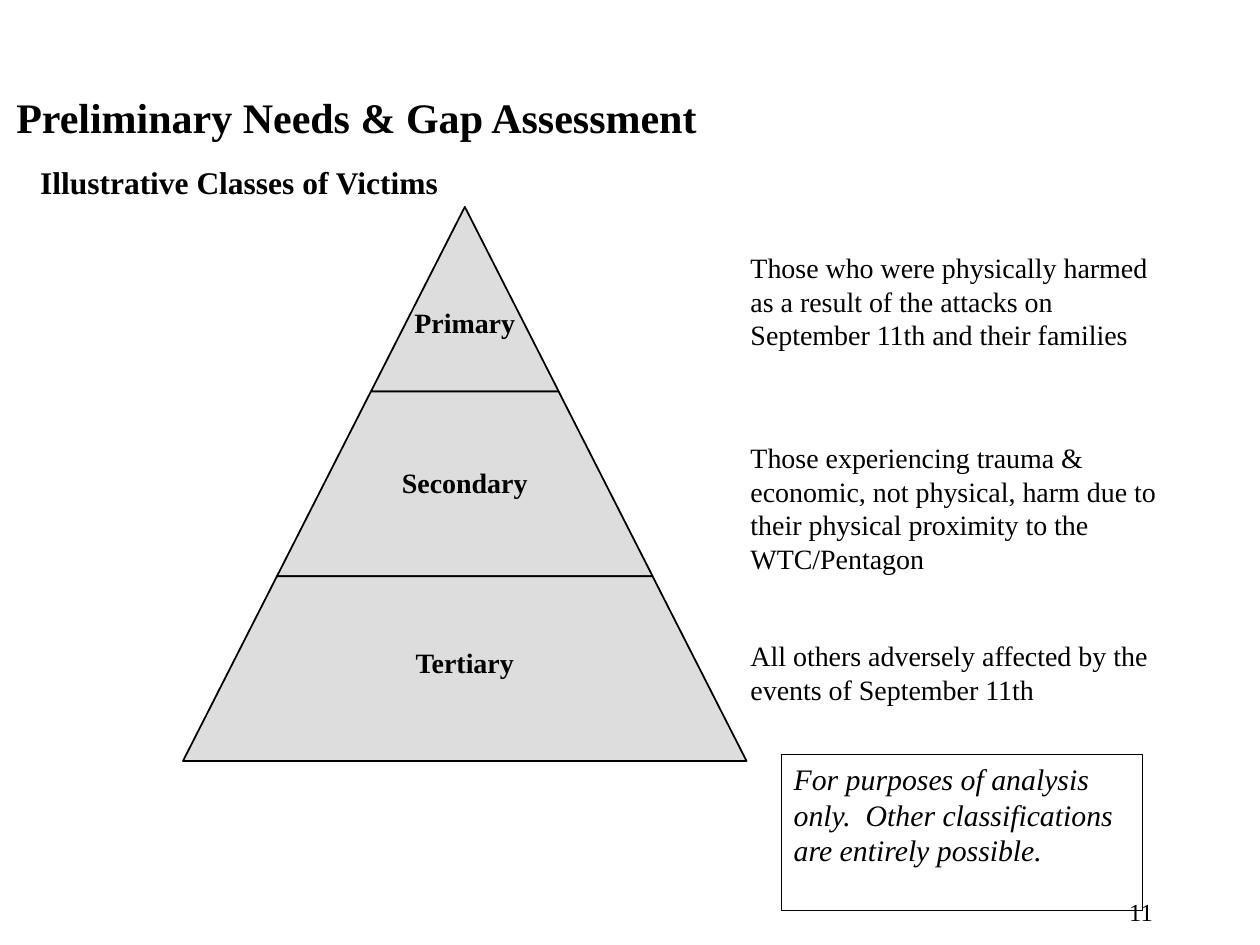
from pptx import Presentation
from pptx.dml.color import RGBColor
from pptx.enum import shapes, text
from pptx.util import Cm, Pt

ALIGN = text.PP_ALIGN
ANCHOR = text.MSO_ANCHOR


def colour(hex_code):
    return RGBColor.from_string(hex_code)


class Canvas:
    """Holds the style and the slide being drawn."""
    font = "Times New Roman"
    ink = "000000"
    tier_fill = "DDDDDD"

    def __init__(self, slide):
        self.slide = slide

    def outline(self, shape, width):
        shape.line.color.rgb = colour(self.ink)
        shape.line.width = Pt(width)
        shape.shadow.inherit = False

    def format(self, p, size, bold=False, italic=False, align=ALIGN.LEFT):
        p.alignment = align
        for r in p.runs:
            r.font.name = self.font
            r.font.size = Pt(size)
            r.font.bold = bold
            r.font.italic = italic
            r.font.color.rgb = colour(self.ink)

    def text(self, x, y, w, h, words, size, anchor=ANCHOR.TOP, **style):
        box = self.slide.shapes.add_textbox(Cm(x), Cm(y), Cm(w), Cm(h))
        tf = box.text_frame
        tf.word_wrap = True
        tf.vertical_anchor = anchor
        tf.text = words
        self.format(tf.paragraphs[0], size, **style)
        return tf

    def heading(self, x, y, w, h, title, subtitle):
        tf = self.text(x, y, w, h, title, 24, ANCHOR.MIDDLE, bold=True)
        p = tf.add_paragraph()
        p.text = subtitle
        self.format(p, 18, bold=True)
        p._p.get_or_add_pPr().set("marL", str(Cm(0.48)))
        for p in tf.paragraphs:
            p.space_after = Pt(12)

    def tier(self, points):
        start, *others = [(Cm(x), Cm(y)) for x, y in points]
        builder = self.slide.shapes.build_freeform(*start)
        builder.add_line_segments(others, close=True)
        s = builder.convert_to_shape()
        s.fill.solid()
        s.fill.fore_color.rgb = colour(self.tier_fill)
        self.outline(s, 1)

    def tier_label(self, centre_x, y, w, words):
        tf = self.text(centre_x - w / 2, y, w, 0.53, words, 16,
                       ANCHOR.MIDDLE, bold=True, align=ALIGN.CENTER)
        tf.margin_left = tf.margin_right = tf.margin_top = tf.margin_bottom = 0
        tf.paragraphs[0].line_spacing = 0.8

    def pyramid(self, apex_x, apex_y, half_base, height, labels):
        """Cut a triangle into tiers of equal height, one for each label."""
        count = len(labels)
        for i, (words, y, w) in enumerate(labels):
            top, bottom = i / count, (i + 1) / count
            y1, y2 = apex_y + height * top, apex_y + height * bottom
            half1, half2 = half_base * top, half_base * bottom
            points = [(apex_x + half1, y1), (apex_x + half2, y2),
                      (apex_x - half2, y2)]
            if i:
                points.append((apex_x - half1, y1))
            self.tier(points)
            self.tier_label(apex_x, y, w, words)

    def note(self, x, y, w, h, words):
        s = self.slide.shapes.add_shape(
            shapes.MSO_SHAPE.RECTANGLE, Cm(x), Cm(y), Cm(w), Cm(h))
        s.fill.background()
        self.outline(s, 0.75)
        tf = s.text_frame
        tf.word_wrap = True
        tf.vertical_anchor = ANCHOR.TOP
        tf.text = words
        self.format(tf.paragraphs[0], 17, italic=True)


def main():
    prs = Presentation()
    prs.slide_width, prs.slide_height = Cm(25.4), Cm(19.05)
    canvas = Canvas(prs.slides.add_slide(prs.slide_layouts[6]))

    canvas.pyramid(9.37, 4.17, 5.68, 11.17, [
        ("Primary", 6.3, 2.87),
        ("Secondary", 9.53, 4.78),
        ("Tertiary", 13.16, 8.79),
    ])
    for y, w, h, words in [
        (4.93, 8.53, 2.97, "Those who were physically harmed as a result of "
                           "the attacks on September 11th and their families"),
        (8.76, 9.32, 2.97, "Those experiencing trauma & economic, not "
                           "physical, harm due to their physical proximity "
                           "to the WTC/Pentagon"),
        (12.75, 8.97, 1.63, "All others adversely affected by the events of "
                            "September 11th"),
    ]:
        canvas.text(14.88, y, w, h, words, 16)

    canvas.heading(0.08, 1.9, 21.59, 2.11, "Preliminary Needs & Gap Assessment",
                   "Illustrative Classes of Victims")
    canvas.note(15.75, 15.21, 7.29, 3.15,
                "For purposes of analysis only.  Other classifications "
                "are entirely possible.")
    canvas.text(18.21, 17.96, 5.28, 0.69, "11", 14, align=ALIGN.RIGHT)

    prs.save("out.pptx")


if __name__ == "__main__":
    main()
